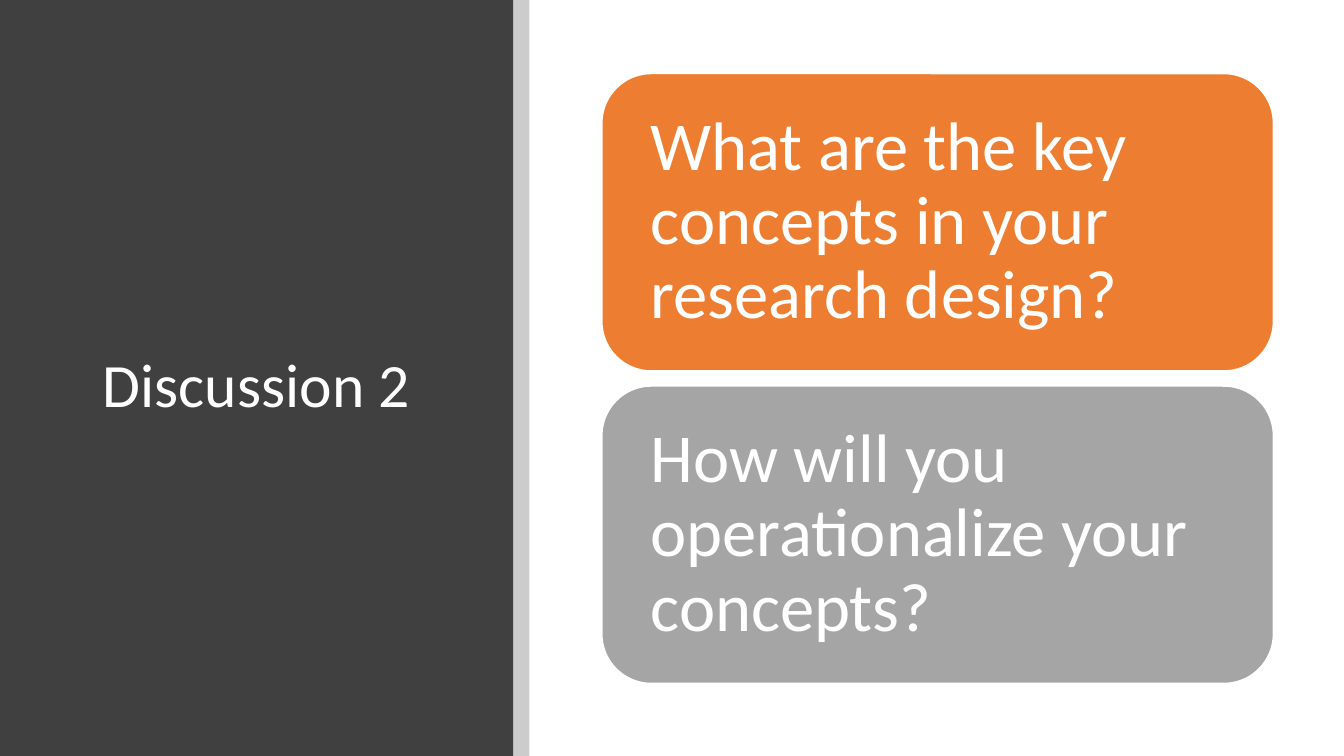
from lxml.etree import SubElement
from pptx import Presentation
from pptx.dml.color import RGBColor
from pptx.enum.shapes import MSO_SHAPE
from pptx.enum.text import MSO_ANCHOR, PP_ALIGN
from pptx.oxml.ns import qn
from pptx.util import Inches, Pt

WHITE = RGBColor(0xFF, 0xFF, 0xFF)
BLACK = RGBColor(0, 0, 0)
DARK = RGBColor(0x40, 0x40, 0x40)
ORANGE = RGBColor(0xED, 0x7D, 0x31)
GRAY = RGBColor(0xA5, 0xA5, 0xA5)

# Content
TITLE = "Discussion 2"
QUESTIONS = [
    ("What are the key concepts in your research design?", ORANGE),
    ("How will you operationalize your concepts?", GRAY),
]

# Layout in inches
WIDTH, HEIGHT = 13.33, 7.5
PANEL_W, STRIPE_W = 5.09, 0.16
TITLE_BOX = (0.92, 0.89, 3.65, 5.91)
CARD_X, CARD_Y, CARD_W, CARD_H, CARD_GAP = 5.97, 0.73, 6.66, 2.95, 0.15
CARD_INSET = 0.34

prs = Presentation()
prs.slide_width, prs.slide_height = Inches(WIDTH), Inches(HEIGHT)
s = prs.slides.add_slide(prs.slide_layouts[5])


def add_block(kind, box, color):
    sp = s.shapes.add_shape(kind, *map(Inches, box))
    sp.shadow.inherit = False
    sp.fill.solid()
    sp.fill.fore_color.rgb = color
    sp.line.fill.background()
    return sp


def write(sp, text, size, inset_x, inset_y):
    tf = sp.text_frame
    frame = {
        "word_wrap": True, "vertical_anchor": MSO_ANCHOR.MIDDLE,
        "margin_left": Inches(inset_x), "margin_right": Inches(inset_x),
        "margin_top": Inches(inset_y), "margin_bottom": Inches(inset_y),
    }
    for name, value in frame.items():
        setattr(tf, name, value)
    p = tf.paragraphs[0]
    p.alignment, p.line_spacing = PP_ALIGN.LEFT, 0.9
    r = p.add_run()
    r.text = text
    for name, value in {"name": "Calibri", "size": Pt(size)}.items():
        setattr(r.font, name, value)
    r.font.color.rgb = WHITE


# Dark panel, placed behind the title
panel = add_block(MSO_SHAPE.RECTANGLE, (0, 0, PANEL_W, HEIGHT), DARK)
title = s.shapes.title
title._element.addprevious(panel._element)

# Title
title.left, title.top, title.width, title.height = map(Inches, TITLE_BOX)
write(title, TITLE, 44, 0.1, 0.05)

# Translucent stripe beside the panel
stripe = add_block(MSO_SHAPE.RECTANGLE, (PANEL_W, 0, STRIPE_W, HEIGHT), BLACK)
stripe_color = stripe._element.spPr.find(qn("a:solidFill"))[0]
SubElement(stripe_color, qn("a:alpha"), val="20000")

# Question cards
for i, (question, color) in enumerate(QUESTIONS):
    y = CARD_Y + i * (CARD_H + CARD_GAP)
    card = add_block(MSO_SHAPE.ROUNDED_RECTANGLE, (CARD_X, y, CARD_W, CARD_H), color)
    card.line.color.rgb = WHITE
    card.line.width = Pt(1)
    write(card, question, 49, CARD_INSET, CARD_INSET)

prs.save("out.pptx")
